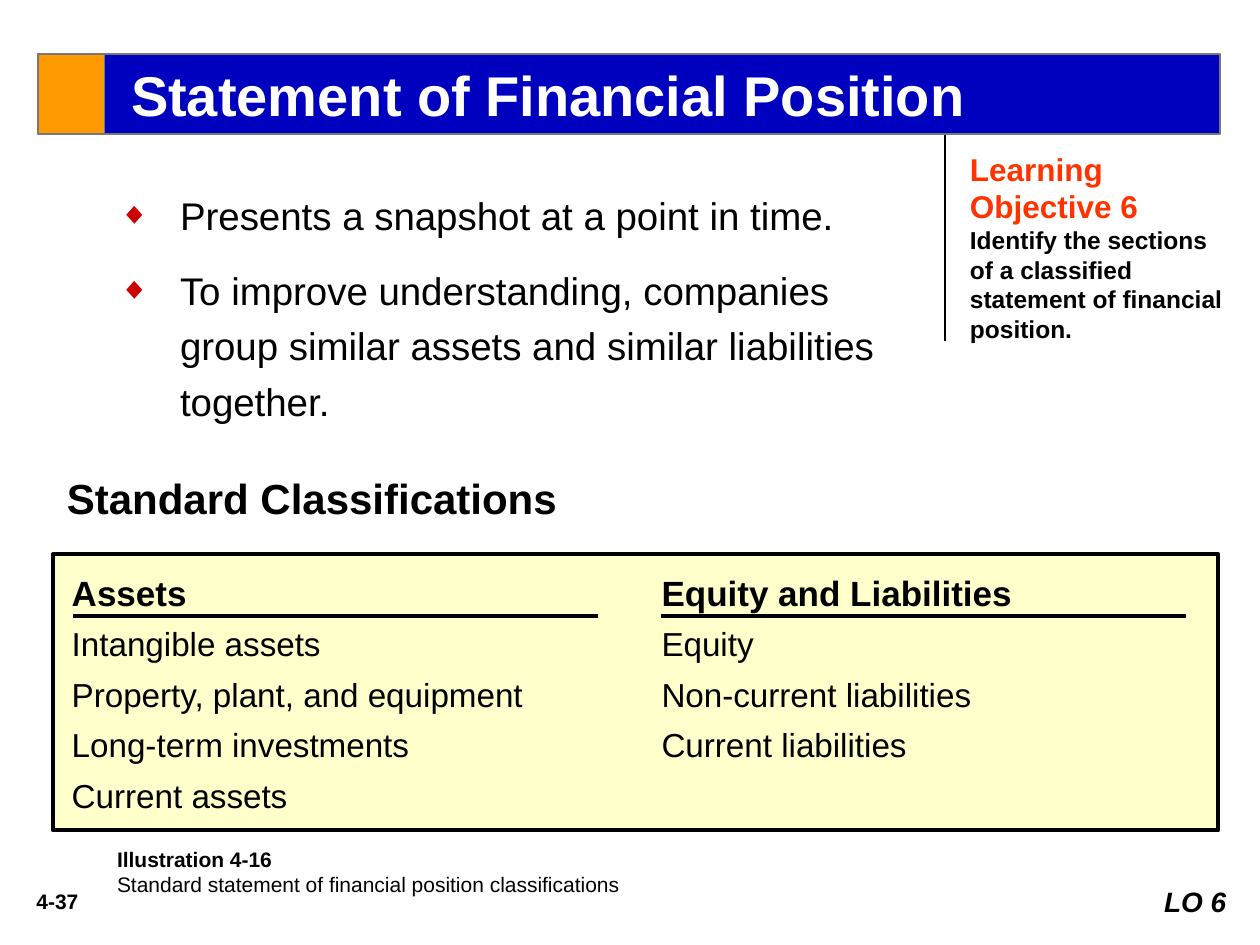
from lxml.etree import SubElement
from pptx import Presentation
from pptx.dml.color import RGBColor
from pptx.enum.shapes import MSO_CONNECTOR as CONNECTOR, MSO_SHAPE as SHAPE
from pptx.enum.text import MSO_ANCHOR as ANCHOR, PP_ALIGN as ALIGN
from pptx.oxml.ns import qn
from pptx.util import Pt

COLORS = {
    "ink": "000000", "paper": "FFFFFF", "banner": "0000BF", "accent": "FF9900",
    "edge": "777777", "panel": "FFFFCC", "bullet": "CC0000", "objective": "FF3300",
}


def rgb(name):
    return RGBColor.from_string(COLORS[name])


def add_box(slide, left, top, width, height, fill, line=None, weight=1):
    box = slide.shapes.add_shape(SHAPE.RECTANGLE, Pt(left), Pt(top), Pt(width), Pt(height))
    box.shadow.inherit = False
    box.fill.solid()
    box.fill.fore_color.rgb = rgb(fill)
    if line:
        box.line.color.rgb = rgb(line)
        box.line.width = Pt(weight)
    else:
        box.line.fill.background()
    return box


def add_rule(slide, x1, y1, x2, y2, weight):
    rule = slide.shapes.add_connector(CONNECTOR.STRAIGHT, Pt(x1), Pt(y1), Pt(x2), Pt(y2))
    rule.line.color.rgb = rgb("ink")
    rule.line.width = Pt(weight)
    SubElement(rule._element.spPr, qn("a:effectLst"))


def add_textbox(slide, left, top, width, height):
    return slide.shapes.add_textbox(Pt(left), Pt(top), Pt(width), Pt(height))


def prepare_frame(shape, side=7.2, top=3.6, anchor=ANCHOR.TOP):
    frame = shape.text_frame
    frame.word_wrap = True
    frame.vertical_anchor = anchor
    frame.margin_left = frame.margin_right = Pt(side)
    frame.margin_top = frame.margin_bottom = Pt(top)
    return frame


def write(frame, text, size, bold=False, color="ink", align=ALIGN.LEFT, spacing=1.0, before=0):
    """Fill the empty first paragraph, or append one with space before it."""
    first = frame.paragraphs[0]
    paragraph = frame.add_paragraph() if first.text else first
    paragraph.text = text
    paragraph.alignment = align
    paragraph.line_spacing = spacing
    paragraph.space_before = Pt(before if paragraph is not first else 0)
    for run in paragraph.runs:
        run.font.name = "Arial"
        run.font.size = Pt(size)
        run.font.bold = bold
        run.font.color.rgb = rgb(color)
    return paragraph


def add_diamond_bullet(paragraph):
    properties = paragraph._p.get_or_add_pPr()
    properties.set("marL", str(Pt(54)))
    properties.set("indent", str(Pt(-35)))
    color = SubElement(properties, qn("a:buClr"))
    SubElement(color, qn("a:srgbClr"), val=COLORS["bullet"])
    SubElement(properties, qn("a:buSzPct"), val="80000")
    SubElement(properties, qn("a:buFont"), typeface="Arial")
    SubElement(properties, qn("a:buChar"), char="◆")


def add_tab_stop(paragraph, position):
    tabs = SubElement(paragraph._p.get_or_add_pPr(), qn("a:tabLst"))
    SubElement(tabs, qn("a:tab"), pos=str(Pt(position)), algn="l")


def title_banner(slide, left, top, width, height, tab_width=38.2):
    banner = add_box(slide, left + tab_width, top, width - tab_width, height, "banner", "edge")
    frame = prepare_frame(banner, side=6.5, anchor=ANCHOR.MIDDLE)
    title = write(frame, "Statement of Financial Position", 32, True, "paper")
    title._p.get_or_add_pPr().set("marL", str(Pt(8.6)))
    add_box(slide, left, top, tab_width, height, "accent", "edge")


def learning_objective(slide, left, top, width, height):
    add_rule(slide, left, top, left, top + height, 1)
    frame = prepare_frame(add_textbox(slide, left + 7.2, top + 18, width - 7.2, height - 12))
    write(frame, "Learning Objective 6", 18, True, "objective")
    write(frame, "Identify the sections of a classified statement of financial position.", 14, True)


def key_points(slide, left, top, width, height):
    frame = prepare_frame(add_textbox(slide, left, top, width, height))
    for point in (
        "Presents a snapshot at a point in time.",
        "To improve understanding, companies group similar assets and similar liabilities together.",
    ):
        add_diamond_bullet(write(frame, point, 22, spacing=1.2, before=11))


def section_heading(slide, left, top, width, height):
    frame = prepare_frame(add_textbox(slide, left, top, width, height), side=14.4)
    write(frame, "Standard Classifications", 24, True, spacing=0.9)


def classifications(slide, left, top, width, height):
    panel = add_box(slide, left, top, width, height, "panel", "ink", 2.25)
    frame = prepare_frame(panel, side=10.8, top=7.2)
    column_step = 337
    rows = (
        ("Assets", "Equity and Liabilities"),
        ("Intangible assets", "Equity"),
        ("Property, plant, and equipment", "Non-current liabilities"),
        ("Long-term investments", "Current liabilities"),
        ("Current assets",),
    )
    for index, row in enumerate(rows):
        header = index == 0
        paragraph = write(frame, "\t".join(row), 20 if header else 19, header,
                          spacing=1.1 if header else 1.0, before=6)
        add_tab_stop(paragraph, column_step)
    for column in range(2):
        start = left + 11.5 + column * (column_step - 1)
        add_rule(slide, start, top + 35.3, start + 300, top + 35.3, 2.25)


def caption(slide, left, top, width, height):
    frame = prepare_frame(add_textbox(slide, left, top, width, height))
    write(frame, "Illustration 4-16", 12, True)
    write(frame, "Standard statement of financial position classifications", 12)


def footer(slide, left, top, width, height):
    number = prepare_frame(add_textbox(slide, left, top + 2.2, 54, height - 5))
    write(number, "4-37", 12, True, align=ALIGN.CENTER)
    tag = add_box(slide, left + width - 60, top, 60, height, "paper")
    label = write(prepare_frame(tag), "LO 6", 16, True, align=ALIGN.RIGHT)
    label.runs[0].font.italic = True


def main():
    deck = Presentation()
    deck.slide_width, deck.slide_height = Pt(720), Pt(540)
    slide = deck.slides.add_slide(deck.slide_layouts[6])
    classifications(slide, 30.2, 316.8, 666, 157.7)
    learning_objective(slide, 540, 64, 168.5, 131)
    key_points(slide, 41.8, 101, 474, 145)
    section_heading(slide, 23.8, 269.5, 372, 36)
    title_banner(slide, 21.6, 31, 675.6, 45.4)
    caption(slide, 59.8, 480.2, 360, 36)
    footer(slide, 5.8, 501.8, 702, 26.6)
    deck.save("out.pptx")


if __name__ == "__main__":
    main()
